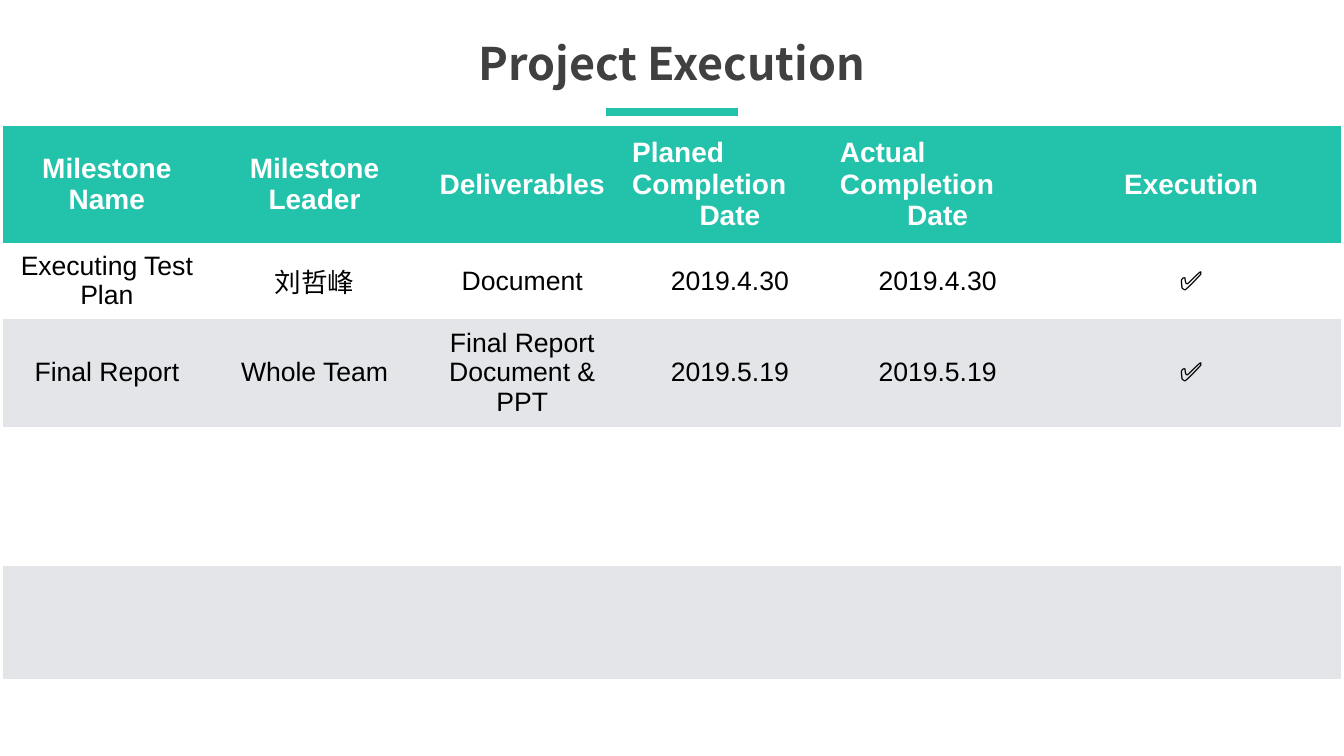
from dataclasses import dataclass

from lxml import etree
from pptx import Presentation
from pptx import util as u
from pptx.dml.color import RGBColor
from pptx.enum import shapes, text
from pptx.oxml.ns import qn

WIDTH, HEIGHT = 13.33, 7.5
TEAL, WHITE, GREY, BLACK, DARK = "23C3AB", "FFFFFF", "E3E5E8", "000000", "404040"
NO_STYLE = "{2D5ABB26-0587-4C30-8999-92F81FD0307C}"
LEFT, CENTER = text.PP_ALIGN.LEFT, text.PP_ALIGN.CENTER


@dataclass
class Style:
    size: float
    color: str
    bold: bool = False
    font: str = "Arial"


@dataclass
class Row:
    height: float
    fill: str
    style: Style
    cells: tuple[str, ...] = ()


TITLE = Style(32, DARK, True, "Noto Sans CJK SC")
HEADER = Style(20, WHITE, True)
BODY = Style(19, BLACK)

# Table content: in a cell, the lines before the last one are set flush left
COLUMNS = [2.06] * 5 + [2.97]
ROWS = [
    Row(1.16, TEAL, HEADER, ("Milestone Name", "Milestone Leader", "Deliverables",
                             "Planed Completion\nDate", "Actual\nCompletion\nDate", "Execution")),
    Row(0.75, WHITE, BODY, ("Executing Test Plan", "刘哲峰", "Document",
                            "2019.4.30", "2019.4.30", "✅")),
    Row(1.06, GREY, BODY, ("Final Report", "Whole Team", "Final Report Document & PPT",
                           "2019.5.19", "2019.5.19", "✅")),
    Row(1.38, WHITE, BODY),
    Row(1.12, GREY, BODY),
    Row(0.75, WHITE, BODY),
]


def color(value: str) -> RGBColor:
    return RGBColor.from_string(value)


def add_run(paragraph, words: str, style: Style, alignment=CENTER) -> None:
    paragraph.alignment = alignment
    run = paragraph.add_run()
    run.text = words
    run.font.name = style.font
    run.font.size = u.Pt(style.size)
    run.font.bold = style.bold
    run.font.color.rgb = color(style.color)


def set_margins(box, margin: float) -> None:
    box.margin_left = box.margin_right = u.Inches(margin)
    box.margin_top = box.margin_bottom = u.Inches(margin)


def add_title(slide, words: str) -> None:
    title = slide.shapes.title
    width = 4.09
    title.left, title.top = u.Inches((WIDTH - width) / 2), u.Inches(0.04 * HEIGHT)
    title.width, title.height = u.Inches(width), u.Inches(0.64)
    frame = title.text_frame
    frame.word_wrap = False
    frame.auto_size = text.MSO_AUTO_SIZE.SHAPE_TO_FIT_TEXT
    frame.vertical_anchor = text.MSO_ANCHOR.MIDDLE
    set_margins(frame, 0)
    add_run(frame.paragraphs[0], words, TITLE)


def add_underline(slide, width: float, top: float) -> None:
    start = (WIDTH - width) / 2
    line = slide.shapes.add_connector(
        shapes.MSO_CONNECTOR.STRAIGHT, u.Inches(start), u.Inches(top),
        u.Inches(start + width), u.Inches(top))
    line.line.color.rgb = color(TEAL)
    line.line.width = u.Pt(6)
    etree.SubElement(line._element.spPr, qn("a:effectLst"))


def fill_cell(cell, row: Row, words: str) -> None:
    cell.fill.solid()
    cell.fill.fore_color.rgb = color(row.fill)
    cell.vertical_anchor = text.MSO_ANCHOR.MIDDLE
    set_margins(cell, 0.06)
    if not words:
        return
    lines = words.split("\n")
    frame = cell.text_frame
    for index, line in enumerate(lines):
        paragraph = frame.add_paragraph() if index else frame.paragraphs[0]
        add_run(paragraph, line, row.style, CENTER if index == len(lines) - 1 else LEFT)


def add_milestones(slide, left: float, top: float) -> None:
    frame = slide.shapes.add_table(
        len(ROWS), len(COLUMNS), u.Inches(left), u.Inches(top),
        u.Inches(sum(COLUMNS)), u.Inches(sum(row.height for row in ROWS)))
    table = frame.table
    table.first_row = table.horz_banding = False
    table._tbl.tblPr.find(qn("a:tableStyleId")).text = NO_STYLE
    for column, width in zip(table.columns, COLUMNS):
        column.width = u.Inches(width)
    for row_index, row in enumerate(ROWS):
        table.rows[row_index].height = u.Inches(row.height)
        for column_index in range(len(COLUMNS)):
            words = row.cells[column_index] if row.cells else ""
            fill_cell(table.cell(row_index, column_index), row, words)


def main() -> None:
    presentation = Presentation()
    presentation.slide_width, presentation.slide_height = u.Inches(WIDTH), u.Inches(HEIGHT)
    slide = presentation.slides.add_slide(presentation.slide_layouts[5])

    # Heading
    add_title(slide, "Project Execution")
    add_underline(slide, width=1.3, top=1.11)

    # Milestone table
    add_milestones(slide, left=0.03, top=1.25)

    presentation.save("out.pptx")


if __name__ == "__main__":
    main()
